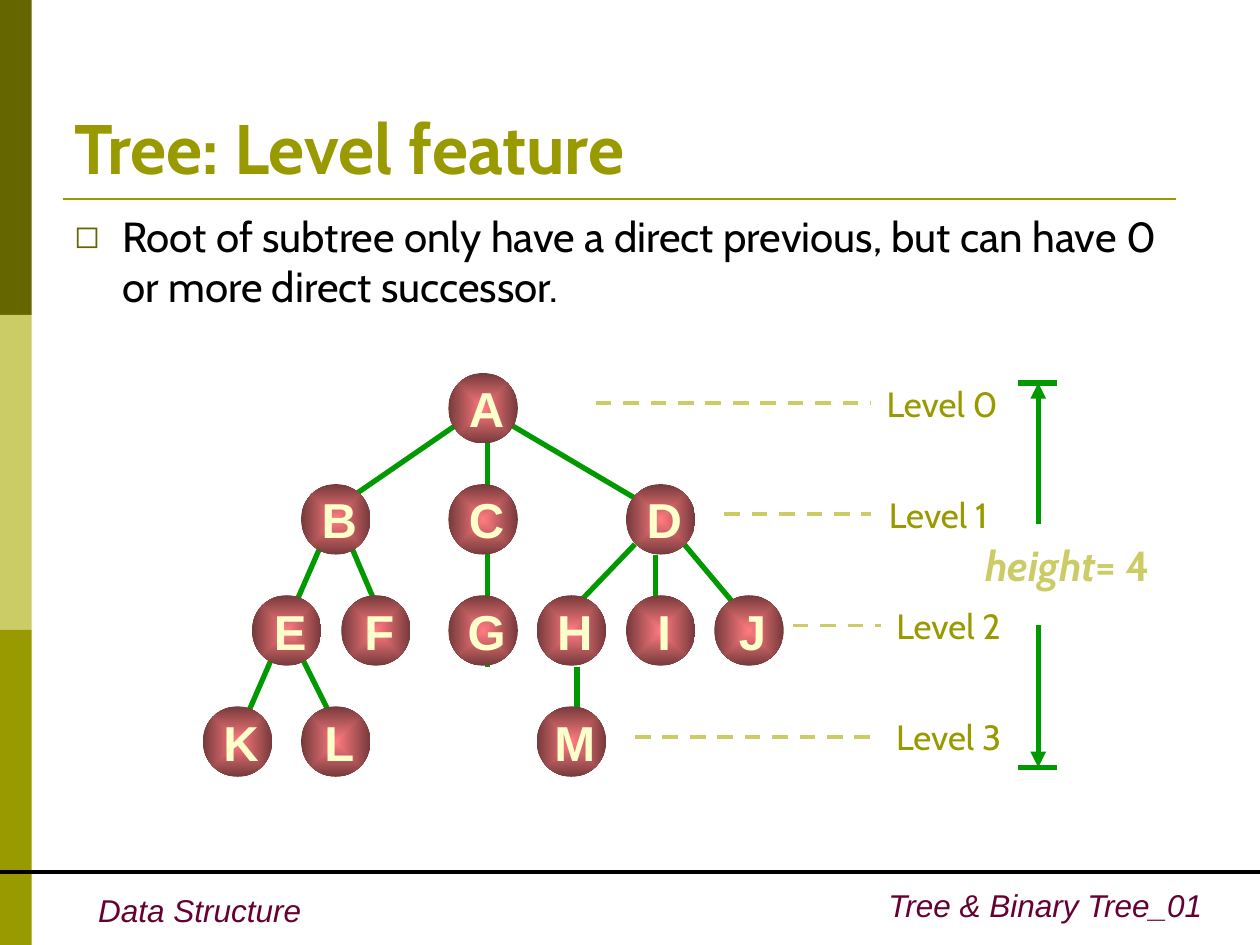
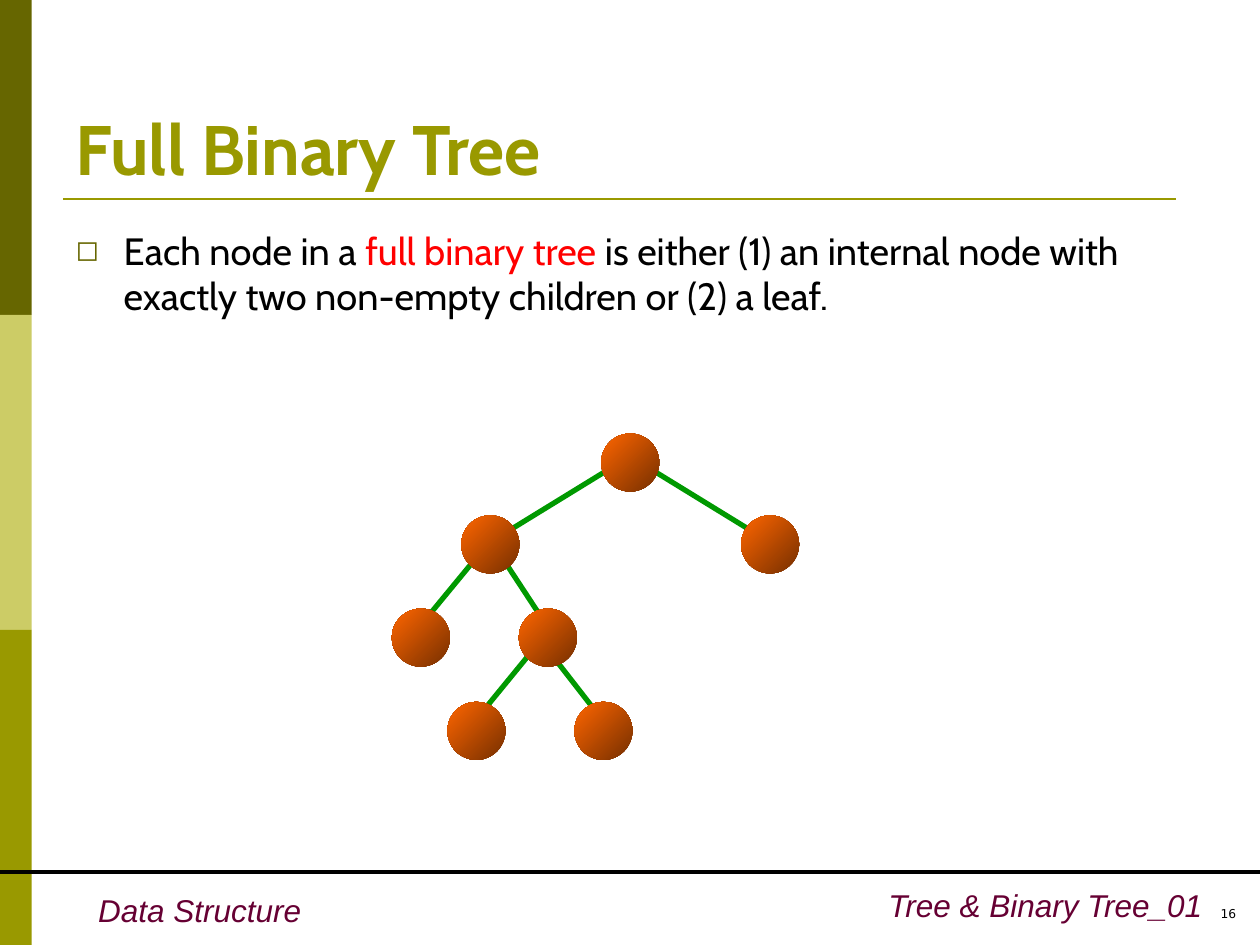
import dataclasses

import lxml.etree
import pptx
import pptx.dml.color
import pptx.enum.dml
import pptx.enum.shapes
import pptx.enum.text
import pptx.oxml.ns
import pptx.util

Cm, Pt = pptx.util.Cm, pptx.util.Pt
RGB = pptx.dml.color.RGBColor.from_string
qn = pptx.oxml.ns.qn
SHAPE = pptx.enum.shapes.MSO_SHAPE
ALIGN = pptx.enum.text.PP_ALIGN
ANCHOR = pptx.enum.text.MSO_ANCHOR


@dataclasses.dataclass(frozen=True)
class Theme:
    olive: str = "999900"
    dark_olive: str = "666600"
    light_olive: str = "CCCC66"
    plum: str = "660033"
    black: str = "000000"
    red: str = "FF0000"
    cream: str = "FFFFCC"
    green: str = "009900"
    rose_node: tuple = ("FF7C80", "76393B")
    orange_node: tuple = ("762F00", "FF6600")
    font: str = "Cabin"
    plain_font: str = "Arial"
    number_font: str = "DejaVu Sans"
    title_size: float = 40
    node_size: float = 28
    body_size: float = 24
    small_body_size: float = 21.7
    level_size: float = 20
    footer_size: float = 18
    number_size: float = 7


T = Theme()


def write(tf, text, size=T.body_size, color=T.black, font=T.font, bold=False,
          italic=False, align=ALIGN.LEFT, anchor=ANCHOR.TOP, wrap=True,
          line_spacing=None, space_before=0, bullet=None):
    """Fill a frame; text is a string or a list of (text, format changes)."""
    tf.word_wrap = wrap
    tf.auto_size = pptx.enum.text.MSO_AUTO_SIZE.NONE
    tf.vertical_anchor = anchor
    p = tf.paragraphs[0]
    p.alignment = align
    p.space_before = Pt(space_before)
    if line_spacing:
        p.line_spacing = line_spacing
    for part, changes in [(text, {})] if isinstance(text, str) else text:
        look = {"color": color, "italic": italic, **changes}
        r = p.add_run()
        r.text = part
        r.font.name, r.font.size = font, Pt(size)
        r.font.bold, r.font.italic = bold, look["italic"]
        r.font.color.rgb = RGB(look["color"])
    if bullet:
        pPr = p._p.get_or_add_pPr()
        pPr.set("marL", str(Cm(0.97)))
        pPr.set("indent", str(-Cm(0.97)))
        buClr = lxml.etree.SubElement(pPr, qn("a:buClr"))
        lxml.etree.SubElement(buClr, qn("a:srgbClr"), val=T.dark_olive)
        lxml.etree.SubElement(pPr, qn("a:buSzPct"), val="75000")
        lxml.etree.SubElement(pPr, qn("a:buFont"), typeface=T.number_font)
        lxml.etree.SubElement(pPr, qn("a:buChar"), char=bullet)


def draw_line(s, x1, y1, x2, y2, color=T.green, width=3, dashed=False, arrow=False):
    c = s.shapes.add_connector(pptx.enum.shapes.MSO_CONNECTOR.STRAIGHT,
                               Cm(x1), Cm(y1), Cm(x2), Cm(y2))
    c.line.color.rgb = RGB(color)
    c.line.width = Pt(width)
    if dashed:
        c.line.dash_style = pptx.enum.dml.MSO_LINE.DASH
    spPr = c._element.spPr
    if arrow:
        lxml.etree.SubElement(spPr.find(qn("a:ln")), qn("a:tailEnd"), type="triangle")
    lxml.etree.SubElement(spPr, qn("a:effectLst"))


prs = pptx.Presentation()
prs.slide_width, prs.slide_height = Cm(25.4), Cm(19.05)

# Titles and lists: text, box; then list text, box, format
pages = [
    ("Tree: Level feature", (1.24, 1.96, 22.86, 1.96),
     "Root of subtree only have a direct previous, but can have 0 or more direct successor.",
     (1.24, 4.11, 22.86, 2.69), dict(size=T.body_size, space_before=15)),
    ("Full Binary Tree", (1.27, 0.76, 22.86, 3.18),
     [("Each node in a ", {}), ("full binary tree ", {"color": T.red}),
      ("is either (1) an internal node with exactly two non-empty children or (2) a leaf.", {})],
     (1.27, 4.45, 22.86, 2.87), dict(size=T.small_body_size, space_before=17.5)),
]
footer = dict(size=T.footer_size, color=T.plum, font=T.plain_font, italic=True)
labels = []  # slide, box, text, format

for title, title_box, body, body_box, body_format in pages:
    s = prs.slides.add_slide(prs.slide_layouts[1])

    # Side bands and rules
    for i, color in enumerate((T.dark_olive, T.light_olive, T.olive)):
        band = s.shapes.add_shape(SHAPE.RECTANGLE, 0, Cm(6.35 * i), Cm(0.64), Cm(6.35))
        band.shadow.inherit = False
        band.fill.solid()
        band.fill.fore_color.rgb = RGB(color)
        band.line.fill.background()
    draw_line(s, 1.27, 4.01, 23.7, 4.01, color=T.olive, width=1.5)
    draw_line(s, 0, 17.58, 25.4, 17.58, color=T.black, width=2.25)

    # Title and list placeholders
    for sp, box in zip(s.placeholders, (title_box, body_box)):
        sp.left, sp.top, sp.width, sp.height = map(Cm, box)
    write(s.shapes.title.text_frame, title, size=T.title_size, color=T.olive,
          bold=True, anchor=ANCHOR.BOTTOM)
    write(s.placeholders[1].text_frame, body, bullet="◻", **body_format)

    labels += [(s, (1.73, 17.83, 4.6, 1.02), "Data Structure", dict(footer, wrap=False)),
               (s, (16.69, 17.73, 7.8, 1.02), "Tree & Binary Tree_01",
                dict(footer, align=ALIGN.RIGHT))]

level_slide, full_slide = prs.slides
labels.append((full_slide, (23.7, 18.21, 1.47, 0.64), "16",
               dict(size=T.number_size, font=T.number_font, align=ALIGN.RIGHT,
                    line_spacing=0.8)))

# Level guides and labels: guide start, guide end, label left
ROW_TOP, ROW_STEP = 7.52, 2.24
level_format = dict(size=T.level_size, color=T.olive, align=ALIGN.CENTER,
                    anchor=ANCHOR.MIDDLE, wrap=False)
guides = [(12.01, 17.55, 17.6), (14.6, 17.55, 17.52),
          (15.98, 17.75, 17.73), (12.8, 17.55, 17.73)]
for level, (start, end, label_left) in enumerate(guides):
    top = ROW_TOP + level * ROW_STEP
    draw_line(level_slide, start, top + 0.61, end, top + 0.61,
              color=T.light_olive, width=2.25, dashed=True)
    labels.append((level_slide, (label_left, top + 0.05, 2.79, 1.12),
                   f"Level {level}", level_format))

# Height measure
for inner, outer in ((10.57, 7.72), (12.6, 15.47)):
    draw_line(level_slide, 20.52, outer, 21.31, outer)
    draw_line(level_slide, 20.93, inner, 20.93, outer, arrow=True)
labels.append((level_slide, (19.15, 10.95, 4.75, 1.07),
               [("height", {"italic": True}), ("= 4", {})],
               dict(color=T.light_olive, bold=True, align=ALIGN.CENTER,
                    anchor=ANCHOR.MIDDLE, line_spacing=0.8)))

# Tree branches
level_branches = [
    (10.24, 8.53, 13, 10.16), (9.25, 8.53, 6.88, 10.16),      # A to D, B
    (9.83, 8.74, 9.83, 13.44),                                # A through C to G
    (13.79, 10.97, 14.99, 12.4), (12.8, 10.97, 11.63, 12.19), # D to J, H
    (13.21, 11.18, 13.21, 12.19),                             # D to I
    (11.63, 13.44, 11.63, 14.66),                             # H to M
    (7.06, 10.97, 7.67, 12.4),                                # B to F
    (6.48, 10.97, 4.7, 15.06), (6.07, 13.23, 6.68, 14.45),    # B through E to K; E to L
]
full_branches = [
    (12.34, 9.42, 10.01, 10.85), (13.06, 9.42, 15.39, 10.85),
    (9.53, 11.33, 8.36, 12.75), (10.01, 11.07, 10.95, 12.5),
    (10.87, 12.95, 9.7, 14.38), (11.13, 13.21, 12.04, 14.38),
]

# Tree nodes: name, left, top
level_rows = [
    {"A": 9.04},
    {"B": 6.07, "C": 9.04, "D": 12.62},
    {"E": 5.08, "F": 6.88, "G": 9.04, "H": 10.82, "I": 12.62, "J": 14.4},
    {"K": 4.09, "L": 6.07, "M": 10.82},
]
level_nodes = [(name, x, ROW_TOP + i * ROW_STEP)
               for i, row in enumerate(level_rows) for name, x in row.items()]
full_nodes = [("", x, y) for y, xs in ((8.74, [12.12]), (10.39, [9.3, 14.94]),
                                       (12.27, [7.9, 10.46]), (14.15, [9.02, 11.58]))
              for x in xs]

for s, branches, nodes, width, height, colors, from_centre in (
        (level_slide, level_branches, level_nodes, 1.4, 1.42, T.rose_node, True),
        (full_slide, full_branches, full_nodes, 1.17, 1.17, T.orange_node, False)):
    for branch in branches:
        draw_line(s, *branch)
    for name, x, y in nodes:
        sp = s.shapes.add_shape(SHAPE.OVAL, Cm(x), Cm(y), Cm(width), Cm(height))
        sp.shadow.inherit = False
        sp.line.fill.background()
        sp.fill.gradient()
        sp.fill.gradient_angle = 135
        for stop, color in zip(sp.fill.gradient_stops, colors):
            stop.color.rgb = RGB(color)
        if from_centre:
            grad = sp._element.spPr.find(qn("a:gradFill"))
            grad.remove(grad.find(qn("a:lin")))
            shade = lxml.etree.SubElement(grad, qn("a:path"), path="rect")
            lxml.etree.SubElement(shade, qn("a:fillToRect"),
                                  {side: "50000" for side in "ltrb"})
        if name:
            tf = sp.text_frame
            tf.margin_left, tf.margin_right = Cm(0.14), 0
            tf.margin_top = tf.margin_bottom = 0
            write(tf, name, size=T.node_size, color=T.cream, font=T.plain_font, bold=True,
                  align=ALIGN.CENTER, anchor=ANCHOR.MIDDLE, wrap=False)

# Labels and footers
for s, box, text, text_format in labels:
    write(s.shapes.add_textbox(*map(Cm, box)).text_frame, text, **text_format)

prs.save("out.pptx")
